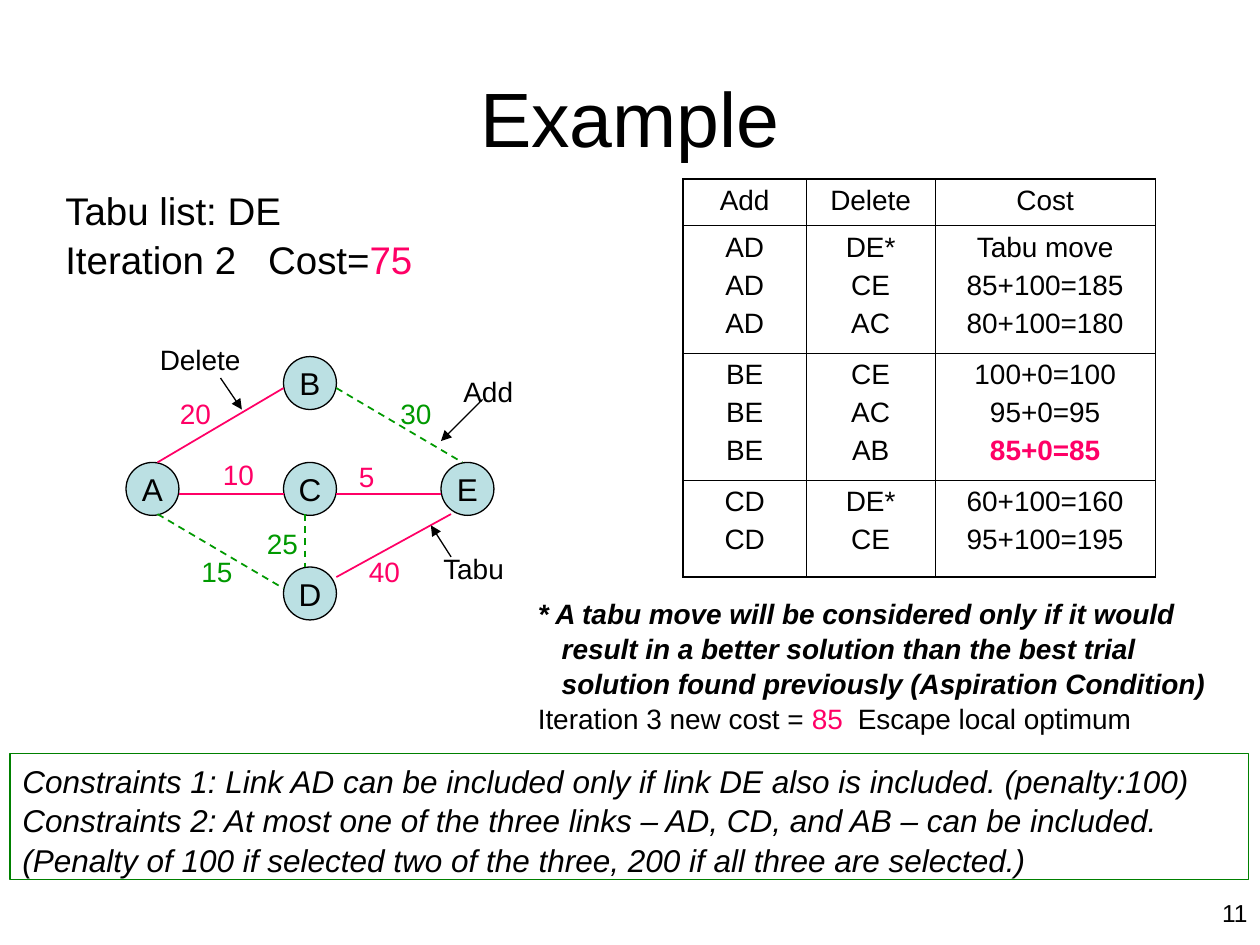
from dataclasses import dataclass
from typing import NamedTuple

from lxml import etree
from pptx import Presentation
from pptx.dml.color import RGBColor
from pptx.enum import dml, shapes, text
from pptx.oxml import ns
from pptx.util import Inches, Pt


@dataclass(frozen=True)
class Theme:
    font: str = "Arial"
    ink: str = "000000"
    pink: str = "FF0066"
    green: str = "009900"
    frame: str = "008000"
    node: str = "BBE0E3"
    title: int = 44
    lead: int = 22
    large: int = 18
    base: int = 16
    page: int = 14
    thin: float = 0.75
    link: float = 1
    inner: float = 0.45
    outer: float = 1.08
    gap: float = 1.05


T = Theme()
LEFT, MID, RIGHT = text.PP_ALIGN.LEFT, text.PP_ALIGN.CENTER, text.PP_ALIGN.RIGHT


class Run(NamedTuple):
    text: str
    color: str
    bold: bool = False


class Node(NamedTuple):
    name: str
    x: float
    y: float


class Label(NamedTuple):
    text: str
    x: float
    y: float
    color: str = T.ink
    width: float = 1


class Line(NamedTuple):
    x1: float
    y1: float
    x2: float
    y2: float
    color: str = T.pink
    dash: bool = False
    arrow: bool = False


def rgb(code: str) -> RGBColor:
    return RGBColor.from_string(code)


def add(parent, tag: str, **attrs: str):
    return etree.SubElement(parent, ns.qn(tag), attrs)


def write(frame, lines: list, size: int, color: str = T.ink, align=LEFT, **style) -> list:
    """Fill a text frame; a line is a string or a list of strings and Runs."""
    frame.word_wrap = True
    paras = []
    for i, line in enumerate(lines):
        para = frame.paragraphs[0] if i == 0 else frame.add_paragraph()
        para.alignment = align
        font = para.font
        font.name, font.size = T.font, Pt(size)
        font.color.rgb = rgb(color)
        for key, value in style.items():
            setattr(font, key, value)
        for part in [line] if isinstance(line, str) else line:
            run = para.add_run()
            if isinstance(part, Run):
                run.text = part.text
                run.font.color.rgb = rgb(part.color)
                run.font.bold = part.bold
            else:
                run.text = part
        paras.append(para)
    return paras


def box(slide, x: float, y: float, w: float, h: float):
    return slide.shapes.add_textbox(Inches(x), Inches(y), Inches(w), Inches(h)).text_frame


def space(paras: list) -> None:
    for para in paras:
        para.line_spacing = T.gap


def tab(para, pos: float) -> None:
    stops = add(para._p.get_or_add_pPr(), "a:tabLst")
    add(stops, "a:tab", pos=str(Inches(pos)), algn="l")
    # The schema wants tab stops before the default run properties
    stops.addnext(para._p.pPr.find(ns.qn("a:defRPr")))


def shape(slide, kind, x: float, y: float, w: float, h: float, line: str, width: float):
    item = slide.shapes.add_shape(kind, Inches(x), Inches(y), Inches(w), Inches(h))
    item.shadow.inherit = False
    item.line.color.rgb = rgb(line)
    item.line.width = Pt(width)
    return item


def circle(slide, node: Node) -> None:
    item = shape(slide, shapes.MSO_SHAPE.OVAL, node.x, node.y, 0.42, 0.42, T.ink, T.thin)
    item.fill.solid()
    item.fill.fore_color.rgb = rgb(T.node)
    frame = item.text_frame
    frame.margin_left = frame.margin_right = frame.margin_top = frame.margin_bottom = 0
    frame.vertical_anchor = text.MSO_ANCHOR.MIDDLE
    write(frame, [node.name], T.large, align=MID)


def draw(slide, line: Line) -> None:
    ends = [Inches(v) for v in line[:4]]
    item = slide.shapes.add_connector(shapes.MSO_CONNECTOR.STRAIGHT, *ends)
    item.line.color.rgb = rgb(line.color)
    item.line.width = Pt(T.thin if line.arrow else T.link)
    if line.dash:
        item.line.dash_style = dml.MSO_LINE.DASH
    props = item._element.spPr
    if line.arrow:
        add(props.find(ns.qn("a:ln")), "a:tailEnd", type="triangle")
    add(props, "a:effectLst")


def border(cell, sides: dict) -> None:
    props = cell._tc.get_or_add_tcPr()
    for side, width in sides.items():
        edge = add(props, f"a:{side}", w=str(Pt(width)))
        add(add(edge, "a:solidFill"), "a:srgbClr", val=T.ink)


def grid(slide, rows: list, widths: list, heights: list) -> None:
    nr, nc = len(rows), len(widths)
    table = slide.shapes.add_table(nr, nc, Inches(5.42), Inches(1.42),
                                   Inches(sum(widths)), Inches(sum(heights))).table
    table.first_row = table.horz_banding = False
    for col, width in zip(table.columns, widths):
        col.width = Inches(width)
    for r, row in enumerate(rows):
        table.rows[r].height = Inches(heights[r])
        for c, lines in enumerate(row):
            cell = table.cell(r, c)
            for para in write(cell.text_frame, lines, T.base, align=MID):
                para.space_before = Pt(4)
            edges = {"lnL": c == 0, "lnR": c == nc - 1, "lnT": r == 0, "lnB": r == nr - 1}
            border(cell, {k: T.outer if out else T.inner for k, out in edges.items()})
            cell.fill.background()


NODES = [Node("A", 1, 3.67), Node("B", 2.25, 2.83), Node("C", 2.25, 3.67),
         Node("D", 2.25, 4.5), Node("E", 3.5, 3.67)]
LINES = [
    Line(1.42, 3.92, 2.25, 3.92), Line(2.67, 3.92, 3.5, 3.92),
    Line(2.67, 4.58, 3.58, 4.08), Line(1.25, 3.67, 2.25, 3.08),
    Line(1.25, 4.08, 2.25, 4.67, T.green, True), Line(2.67, 3.08, 3.67, 3.67, T.green, True),
    Line(2.42, 4.08, 2.42, 4.5, T.green, True),
    Line(3.83, 3.17, 3.5, 3.5, T.ink, arrow=True), Line(1.75, 3, 1.92, 3.25, T.ink, arrow=True),
    Line(3.58, 4.42, 3.42, 4.17, T.ink, arrow=True),
]
COSTS = [("20", 1.33, 3.1, T.pink), ("30", 3.08, 3.1, T.green), ("15", 1.5, 4.35, T.green),
         ("40", 2.83, 4.35, T.pink), ("10", 1.67, 3.58, T.pink), ("5", 2.75, 3.6, T.pink),
         ("25", 2.02, 4.13, T.green)]
LABELS = [Label(*cost, 0.58) for cost in COSTS] + [
    Label("Tabu", 3.42, 4.33), Label("Delete", 1.17, 2.67), Label("Add", 3.58, 2.92)]
MOVES = [
    [["Add"], ["Delete"], ["Cost"]],
    [["AD"] * 3, ["DE*", "CE", "AC"], ["Tabu move", "85+100=185", "80+100=180"]],
    [["BE"] * 3, ["CE", "AC", "AB"], ["100+0=100", "95+0=95", [Run("85+0=85", T.pink, True)]]],
    [["CD"] * 2, ["DE*", "CE"], ["60+100=160", "95+100=195"]],
]
RULES = [
    "Constraints 1: Link AD can be included only if link DE also is included. (penalty:100)",
    "Constraints 2: At most one of the three links – AD, CD, and AB – can be included.",
    "(Penalty of 100 if selected two of the three, 200 if all three are selected.)",
]
NOTE = ("* A tabu move will be considered only if it would result in a better solution "
        "than the best trial solution found previously (Aspiration Condition)")


def main() -> None:
    deck = Presentation()
    deck.slide_width, deck.slide_height = Inches(10), Inches(7.5)
    slide = deck.slides.add_slide(deck.slide_layouts[6])

    # Title and current state
    head = box(slide, 0.5, 0.3, 9, 1.25)
    head.vertical_anchor = text.MSO_ANCHOR.MIDDLE
    write(head, ["Example"], T.title, align=MID)
    state = write(box(slide, 0.42, 1.42, 3.58, 0.84),
                  ["Tabu list: DE", ["Iteration 2\tCost=", Run("75", T.pink)]], T.lead)
    space(state)
    tab(state[1], 1.61)

    # Network
    for node in NODES:
        circle(slide, node)
    for line in LINES:
        draw(slide, line)
    for tag in LABELS:
        write(box(slide, tag.x, tag.y, tag.width, 0.37), [tag.text], T.base, tag.color)

    # Candidate moves
    grid(slide, MOVES, [0.98, 1.02, 1.75], [0.37, 1.01, 1.01, 0.77])

    # Aspiration note and outcome
    frame = box(slide, 4.17, 4.67, 5.83, 1.33)
    note = write(frame, [NOTE, ["Iteration 3 new cost = ", Run("85", T.pink),
                                "\tEscape local optimum"]], T.base)
    space(note)
    note[0].font.bold = note[0].font.italic = True
    props = note[0]._p.get_or_add_pPr()
    props.set("marL", str(Inches(0.19)))
    props.set("indent", str(Inches(-0.19)))
    tab(note[1], 2.54)

    # Constraints and page number
    rules = shape(slide, shapes.MSO_SHAPE.RECTANGLE, 0.08, 5.98, 9.83, 1, T.frame, T.link)
    rules.fill.background()
    rules.text_frame.vertical_anchor = text.MSO_ANCHOR.TOP
    space(write(rules.text_frame, RULES, T.large, italic=True))
    write(box(slide, 8.83, 7.08, 1.17, 0.27), ["11"], T.page, align=RIGHT)

    deck.save("out.pptx")


if __name__ == "__main__":
    main()
